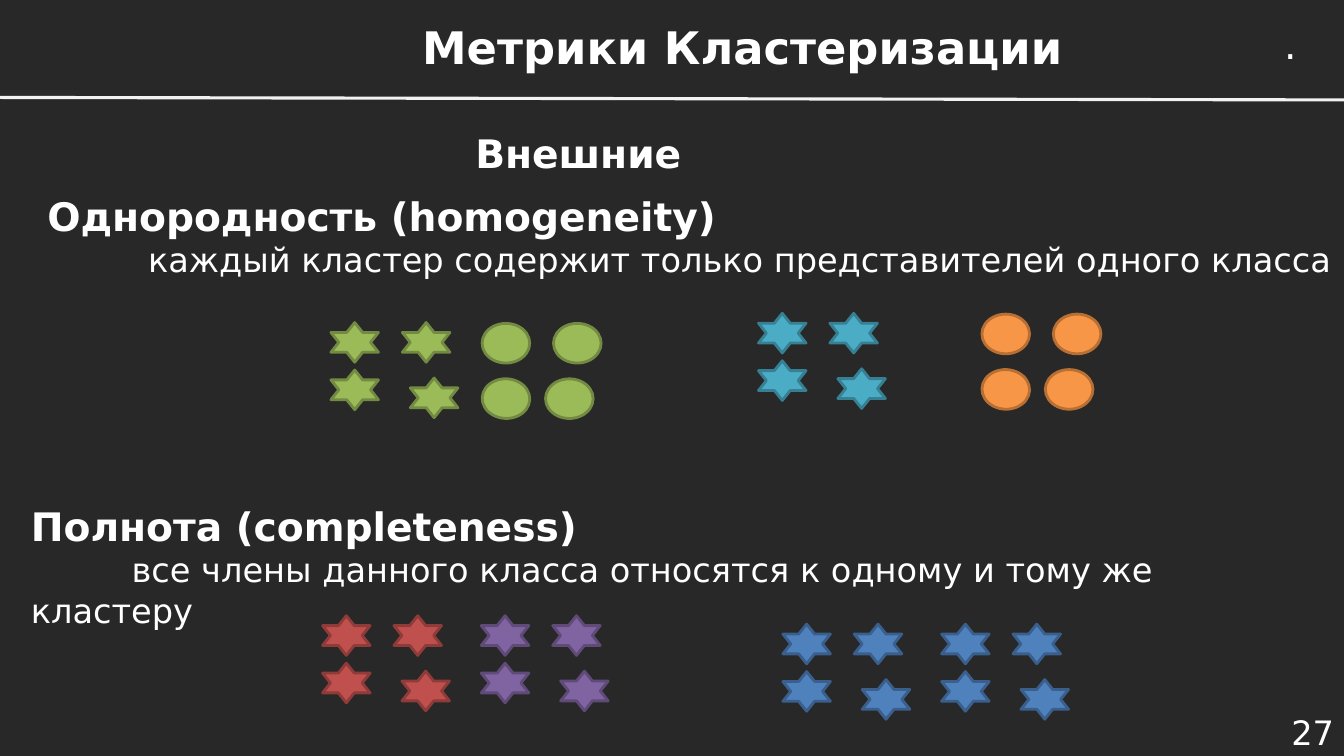
from dataclasses import dataclass
from typing import NamedTuple

import pptx
import pptx.dml.color
import pptx.enum.shapes
import pptx.enum.text
import pptx.oxml
import pptx.oxml.ns
import pptx.util

Align = pptx.enum.text.PP_ALIGN
Anchor = pptx.enum.text.MSO_ANCHOR
Preset = pptx.enum.shapes.MSO_SHAPE

# Page grid: 160 columns by 90 rows of square cells
COLUMNS, ROWS = 160, 90
WIDTH, HEIGHT = pptx.util.Inches(13.333), pptx.util.Inches(7.5)


class Tone(NamedTuple):
    fill: str
    line: str


@dataclass(frozen=True)
class Theme:
    font: str = "DejaVu Sans"
    background: str = "272827"
    text: str = "FFFFFF"
    rule: str = "F2F2F2"
    green: Tone = Tone("9BBB59", "738A42")
    teal: Tone = Tone("4BACC6", "377F92")
    orange: Tone = Tone("F79646", "B76F34")
    red: Tone = Tone("C0504D", "8E3B39")
    purple: Tone = Tone("8064A2", "5F4A78")
    blue: Tone = Tone("4F81BD", "3A5F8C")
    title_size: int = 32
    heading_size: int = 28
    body_size: int = 24
    rule_width: float = 2.25
    outline_width: float = 2


THEME = Theme()


class Line(NamedTuple):
    text: str
    size: int
    bold: bool = False
    indent: float = 0
    align: Align = Align.LEFT


class Label(NamedTuple):
    column: float
    row: float
    columns: float
    rows: float
    lines: list[Line]
    anchor: Anchor = Anchor.TOP
    wrap: bool = True


class Point(NamedTuple):
    column: float
    row: float
    turn: float = 0


class Marker(NamedTuple):
    preset: Preset
    points: list[Point]


class Cluster(NamedTuple):
    column: float
    row: float
    marker: Marker
    tone: Tone


# Members of a cluster, measured from its top left corner
MEMBER_COLUMNS, MEMBER_ROWS = 5.67, 4.72
STARS = Marker(Preset.STAR_6_POINT,
               [Point(0, 0), Point(0, 5.65), Point(9.45, 6.6), Point(8.5, 0)])
CIRCLES = Marker(Preset.OVAL,
                 [Point(0, 0), Point(0, 6.6, 2.5), Point(7.55, 6.6), Point(8.5, 0)])

CLUSTERS = [
    Cluster(39.4, 38.4, STARS, THEME.green),
    Cluster(57.4, 38.5, CIRCLES, THEME.green),
    Cluster(90.3, 37.3, STARS, THEME.teal),
    Cluster(116.9, 37.4, CIRCLES, THEME.orange),
    Cluster(38.4, 73.3, STARS, THEME.red),
    Cluster(57.3, 73.3, STARS, THEME.purple),
    Cluster(93.2, 74.3, STARS, THEME.blue),
    Cluster(112.1, 74.3, STARS, THEME.blue),
]


def metric(name: str, meaning: str) -> list[Line]:
    return [Line(name, THEME.heading_size, bold=True),
            Line(meaning, THEME.body_size, indent=12)]


LABELS = [
    Label(41.3, 2.3, 94.2, 6.4,
          [Line("Метрики Кластеризации", THEME.title_size, bold=True, align=Align.CENTER)],
          anchor=Anchor.MIDDLE),
    Label(151.7, 1.8, 4.1, 6.8, [Line(".", THEME.heading_size)], wrap=False),
    Label(55.4, 14.8, 39, 6.8, [Line("Внешние", THEME.heading_size, bold=True)]),
    Label(4.45, 22.3, 157.8, 11.8,
          metric("Однородность (homogeneity)",
                 "каждый кластер содержит только представителей одного класса")),
    Label(2.5, 59.2, 154.9, 11.8,
          metric("Полнота (completeness)",
                 "все члены данного класса относятся к одному и тому же кластеру")),
    Label(147.4, 84.6, 12.6, 5, [Line("27", THEME.body_size, align=Align.RIGHT)],
          anchor=Anchor.MIDDLE),
]


def across(columns: float) -> int:
    return round(WIDTH * columns / COLUMNS)


def down(rows: float) -> int:
    return round(HEIGHT * rows / ROWS)


def colour(value: str) -> pptx.dml.color.RGBColor:
    return pptx.dml.color.RGBColor.from_string(value)


def apply_format(target: object, values: dict[str, object]) -> None:
    for name, value in values.items():
        setattr(target, name, value)


def draw_label(page: pptx.slide.Slide, label: Label) -> None:
    box = page.shapes.add_textbox(across(label.column), down(label.row),
                                  across(label.columns), down(label.rows))
    frame = box.text_frame
    apply_format(frame, {"word_wrap": label.wrap, "vertical_anchor": label.anchor})
    for index, line in enumerate(label.lines):
        para = frame.add_paragraph() if index else frame.paragraphs[0]
        para.alignment = line.align
        if line.indent:
            para._p.get_or_add_pPr().set("indent", str(across(line.indent)))
        span = para.add_run()
        span.text = line.text
        apply_format(span.font, {"name": THEME.font, "bold": line.bold,
                                 "size": pptx.util.Pt(line.size)})
        span.font.color.rgb = colour(THEME.text)


def draw_cluster(page: pptx.slide.Slide, cluster: Cluster) -> None:
    for point in cluster.marker.points:
        member = page.shapes.add_shape(
            cluster.marker.preset,
            across(cluster.column + point.column), down(cluster.row + point.row),
            across(MEMBER_COLUMNS), down(MEMBER_ROWS))
        member.rotation = point.turn
        member.shadow.inherit = False
        member.fill.solid()
        member.fill.fore_color.rgb = colour(cluster.tone.fill)
        member.line.color.rgb = colour(cluster.tone.line)
        member.line.width = pptx.util.Pt(THEME.outline_width)


def draw_rule(page: pptx.slide.Slide, start: Point, end: Point) -> None:
    rule = page.shapes.add_connector(
        pptx.enum.shapes.MSO_CONNECTOR.STRAIGHT,
        across(start.column), down(start.row), across(end.column), down(end.row))
    rule.line.color.rgb = colour(THEME.rule)
    rule.line.width = pptx.util.Pt(THEME.rule_width)
    rule._element.spPr.append(
        pptx.oxml.parse_xml(f"<a:effectLst {pptx.oxml.ns.nsdecls('a')}/>"))


def main() -> None:
    deck = pptx.Presentation()
    apply_format(deck, {"slide_width": WIDTH, "slide_height": HEIGHT})
    page = deck.slides.add_slide(deck.slide_layouts[6])
    page.background.fill.solid()
    page.background.fill.fore_color.rgb = colour(THEME.background)

    # Header rule, then clusters, then text
    draw_rule(page, Point(0, 11.6), Point(COLUMNS, 11.9))
    for cluster in CLUSTERS:
        draw_cluster(page, cluster)
    for label in LABELS:
        draw_label(page, label)
    deck.save("out.pptx")


if __name__ == "__main__":
    main()
